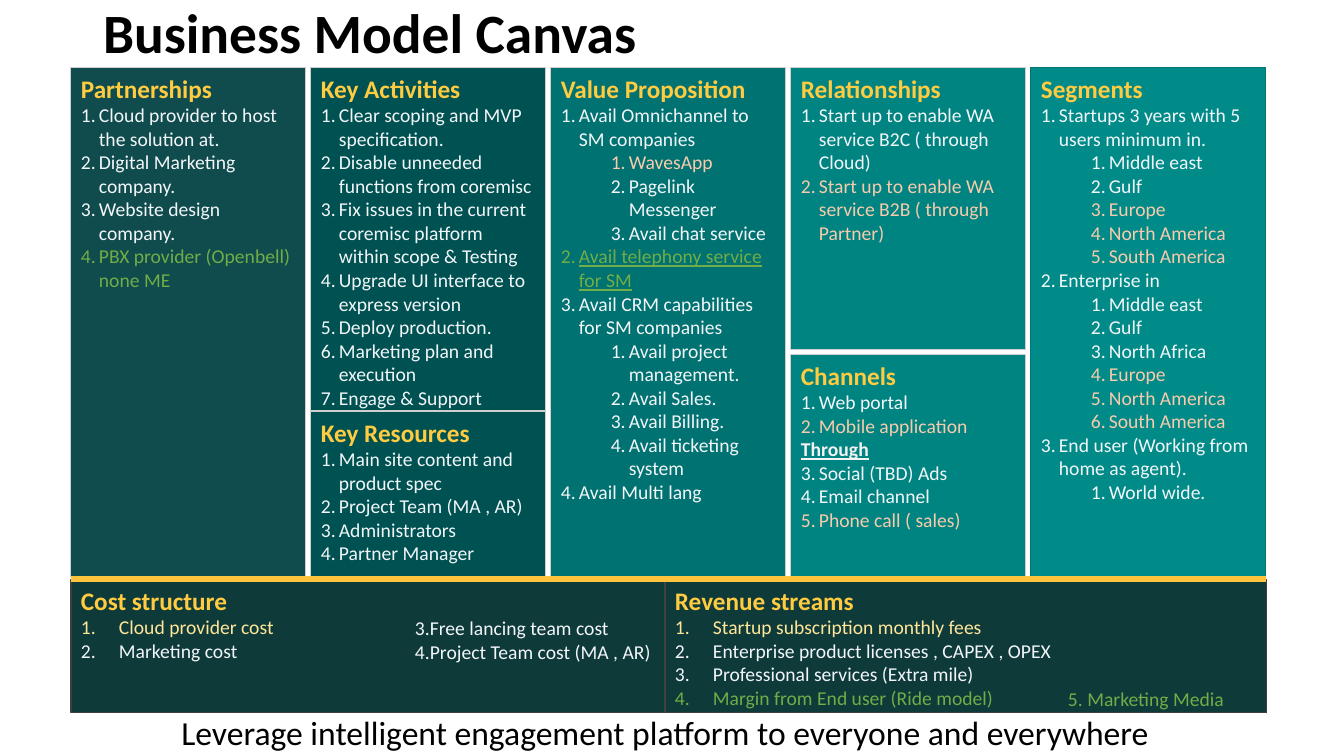
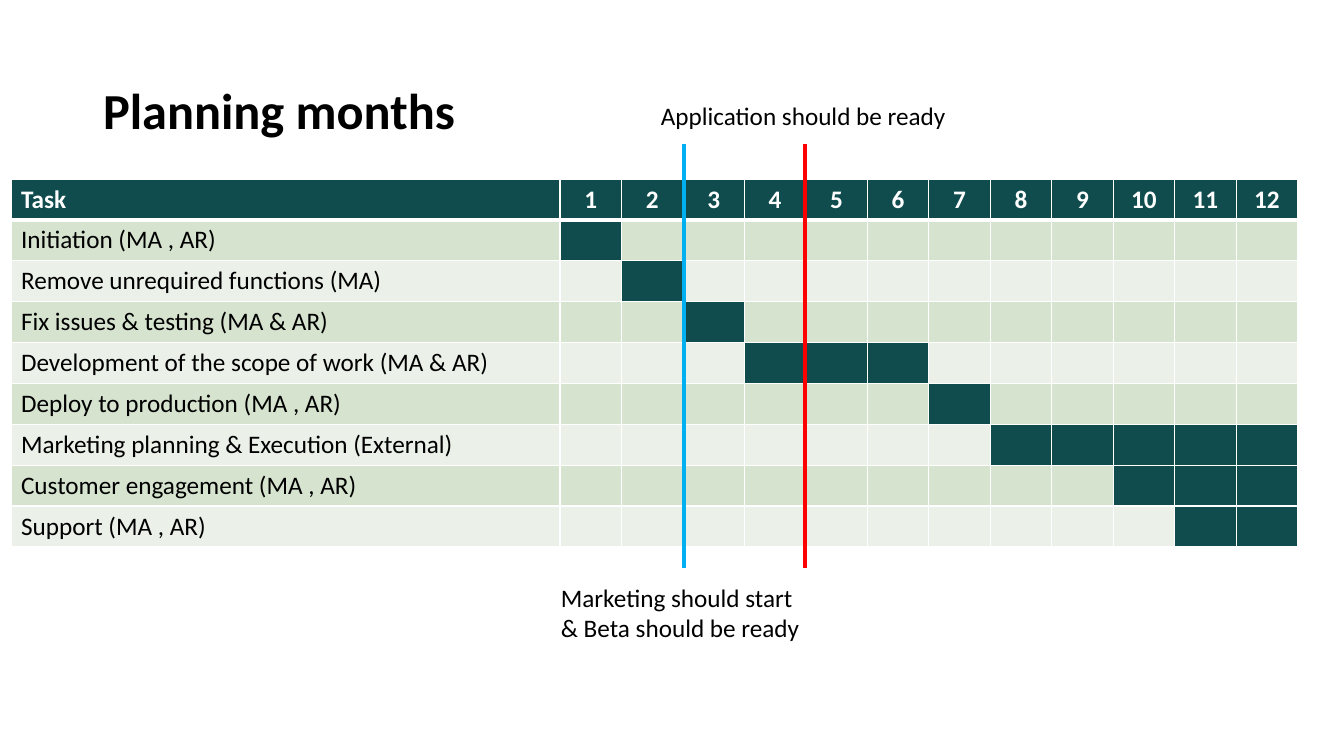
import collections
import dataclasses

import pptx
import pptx.dml.color
import pptx.enum.shapes
import pptx.enum.text
import pptx.oxml.ns
import pptx.util
from lxml import etree

EMU_PER_PIXEL = 914400 / 100.8
ALIGN = pptx.enum.text.PP_ALIGN
ANCHOR = pptx.enum.text.MSO_ANCHOR


@dataclasses.dataclass(frozen=True)
class Theme:
    """Colours, font and type sizes shared by the slides."""

    font: str = "Calibri"
    ink: str = "000000"
    white: str = "FFFFFF"
    heading: str = "FFCB41"
    light: str = "F3F6F9"
    peach: str = "F8CBAD"
    green: str = "70AD47"
    cream: str = "FFE699"
    label: str = "F2F2F2"
    teal: str = "104C4D"
    deep: str = "005252"
    middle: str = "007271"
    bright: str = "008481"
    brightest: str = "008B89"
    base: str = "0F3A3A"
    frame: str = "D0CECE"
    teal_frame: str = "007675"
    base_frame: str = "404040"
    divider: str = "FFC33D"
    beta_mark: str = "00B0F0"
    ready_mark: str = "FF0000"
    bands: tuple = ("D5E3CF", "EBF1E9")
    canvas_title: float = 39.6
    plan_title: float = 36
    tagline: float = 24
    medium: float = 18
    small: float = 14


THEME = Theme()
Item = collections.namedtuple(
    "Item", "text color level start underline", defaults=(THEME.light, 0, 1, False))
Panel = collections.namedtuple("Panel", "heading box fill frame indent items")


def pixels(value):
    """Turn pixels into EMU."""
    return pptx.util.Emu(round(value * EMU_PER_PIXEL))


def rgb(value):
    """Turn a hex string into a colour."""
    return pptx.dml.color.RGBColor.from_string(value)


def assign(target, values):
    """Set each named attribute of the target."""
    for name, value in values.items():
        setattr(target, name, value)


def fill_solid(target, color):
    """Give a shape, line or cell one solid colour."""
    target.fill.solid()
    target.fill.fore_color.rgb = rgb(color)


def write(paragraph, text, size, color, bold=False, underline=False, align=ALIGN.LEFT):
    """Put one formatted run in a paragraph."""
    paragraph.alignment = align
    run = paragraph.add_run()
    run.text = text
    assign(run.font, {"name": THEME.font, "size": pptx.util.Pt(size),
                      "bold": bold, "underline": underline})
    run.font.color.rgb = rgb(color)


def number(paragraph, item, indent):
    """Number a paragraph with a hanging indent."""
    properties = paragraph._p.get_or_add_pPr()
    margin = indent + 50 * item.level
    paragraph.level = item.level
    properties.set("marL", str(pixels(margin)))
    properties.set("indent", str(-pixels(indent)))
    bullet = etree.SubElement(properties, pptx.oxml.ns.qn("a:buAutoNum"))
    bullet.set("type", "arabicPeriod")
    if item.start > 1:
        bullet.set("startAt", str(item.start))


def add_title(presentation, text, top, height, size):
    """Add a slide with its title and return the slide."""
    slide = presentation.slides.add_slide(presentation.slide_layouts[5])
    title = slide.shapes.title
    assign(title, {"left": pixels(93), "top": pixels(top),
                   "width": pixels(1159), "height": pixels(height)})
    assign(title.text_frame, {"vertical_anchor": ANCHOR.MIDDLE, "word_wrap": True,
                              "auto_size": pptx.enum.text.MSO_AUTO_SIZE.NONE})
    paragraph = title.text_frame.paragraphs[0]
    paragraph.line_spacing = 0.9
    write(paragraph, text, size, THEME.ink, bold=True)
    return slide


def add_panel(slide, panel):
    """Add a filled box with a heading and a numbered list."""
    shape = slide.shapes.add_shape(
        pptx.enum.shapes.MSO_SHAPE.RECTANGLE, *map(pixels, panel.box))
    shape.shadow.inherit = False
    fill_solid(shape, panel.fill)
    fill_solid(shape.line, panel.frame)
    shape.line.width = pptx.util.Pt(0.75)
    frame = shape.text_frame
    assign(frame, {"word_wrap": True, "vertical_anchor": ANCHOR.TOP})
    write(frame.paragraphs[0], panel.heading, THEME.medium, THEME.heading, bold=True)
    for item in panel.items:
        paragraph = frame.add_paragraph()
        is_label = item.start == 0
        if not is_label:
            number(paragraph, item, panel.indent)
        write(paragraph, item.text, THEME.small, item.color, is_label, item.underline)


def add_text(slide, box, lines, size, color=THEME.ink, align=ALIGN.LEFT, inset=True):
    """Add a text box with one paragraph for each line."""
    frame = slide.shapes.add_textbox(*map(pixels, box)).text_frame
    frame.word_wrap = True
    if not inset:
        assign(frame, dict.fromkeys(
            ("margin_left", "margin_top", "margin_right", "margin_bottom"), 0))
    for index, line in enumerate(lines):
        paragraph = frame.add_paragraph() if index else frame.paragraphs[0]
        write(paragraph, line, size, color, align=align)


def add_line(slide, start, end, color, width):
    """Add a straight line without a shadow."""
    line = slide.shapes.add_connector(
        pptx.enum.shapes.MSO_CONNECTOR.STRAIGHT, *map(pixels, start + end))
    fill_solid(line.line, color)
    line.line.width = pptx.util.Pt(width)
    etree.SubElement(line._element.spPr, pptx.oxml.ns.qn("a:effectLst"))


def set_borders(cell, row):
    """Draw white cell borders, thick below the header row."""
    properties = cell._tc.get_or_add_tcPr()
    widths = {"lnL": 1, "lnR": 1, "lnT": 3 if row == 1 else 1, "lnB": 3 if row == 0 else 1}
    for index, (side, width) in enumerate(widths.items()):
        border = etree.Element(pptx.oxml.ns.qn("a:" + side), w=str(pptx.util.Pt(width)))
        fill = etree.SubElement(border, pptx.oxml.ns.qn("a:solidFill"))
        etree.SubElement(fill, pptx.oxml.ns.qn("a:srgbClr"), val=THEME.white)
        properties.insert(index, border)


def add_schedule(slide, tasks, months=12):
    """Add the table of tasks with their active months filled."""
    rows = len(tasks) + 1
    task_width, month_width, row_height = 549, 738 / months, 40
    table = slide.shapes.add_table(
        rows, months + 1, pixels(11), pixels(179),
        pixels(task_width + month_width * months), pixels(row_height * rows)).table
    for index, column in enumerate(table.columns):
        column.width = pixels(month_width if index else task_width)
    entries = [("Task", 1, months)] + tasks
    for row, (task, first, last) in enumerate(entries):
        table.rows[row].height = pixels(row_height)
        for column in range(months + 1):
            cell = table.cell(row, column)
            active = row == 0 or first <= column <= last
            fill_solid(cell, THEME.teal if active else THEME.bands[(row - 1) % 2])
            set_borders(cell, row)
            paragraph = cell.text_frame.paragraphs[0]
            paragraph.font.size = pptx.util.Pt(THEME.medium)
            if row == 0 or column == 0:
                write(paragraph, str(column) if column else task, THEME.medium,
                      THEME.ink if row else THEME.white, bold=row == 0,
                      align=ALIGN.CENTER if column else ALIGN.LEFT)


def canvas_panels():
    """Return the panels of the business model canvas."""
    def column(index, top=68, height=509):
        return 71 + 240 * index, top, 235, height

    def plain(*texts, level=0):
        return [Item(text, level=level) for text in texts]

    def planned(*texts, level=0):
        return [Item(text, THEME.peach, level) for text in texts]

    americas = planned("Europe", "North America", "South America", level=1)
    return [
        Panel("Partnerships", column(0), THEME.teal, THEME.frame, 18, [
            *plain("Cloud provider to host the solution at.", "Digital Marketing company.",
                   "Website design company."),
            Item("PBX provider (Openbell) none ME", THEME.green)]),
        Panel("Key Activities", column(1, 68, 343), THEME.deep, THEME.frame, 18, plain(
            "Clear scoping and MVP specification.",
            "Disable unneeded functions from coremisc",
            "Fix issues in the current coremisc platform within scope & Testing",
            "Upgrade UI interface to express version", "Deploy production.",
            "Marketing plan and execution", "Engage & Support")),
        Panel("Key Resources", column(1, 412, 165), THEME.deep, THEME.frame, 18, plain(
            "Main site content and product spec", "Project Team (MA , AR)",
            "Administrators", "Partner Manager")),
        Panel("Value Proposition", column(2), THEME.middle, THEME.frame, 18, [
            *plain("Avail Omnichannel to SM companies"),
            *planned("WavesApp", level=1),
            *plain("Pagelink Messenger", "Avail chat service", level=1),
            Item("Avail telephony service for SM", THEME.green, underline=True),
            *plain("Avail CRM capabilities for SM companies"),
            *plain("Avail project management.", "Avail Sales.", "Avail Billing.",
                   "Avail ticketing system", level=1),
            *plain("Avail Multi lang")]),
        Panel("Relationships", column(3, 68, 282), THEME.bright, THEME.frame, 18, [
            *plain("Start up to enable WA service B2C ( through Cloud)"),
            *planned("Start up to enable WA service B2B ( through Partner)")]),
        Panel("Channels", column(3, 355, 222), THEME.bright, THEME.frame, 18, [
            *plain("Web portal"), *planned("Mobile application"),
            Item("Through", THEME.label, start=0, underline=True),
            Item("Social (TBD) Ads", start=3), Item("Email channel", start=3),
            Item("Phone call ( sales)", THEME.peach, start=3)]),
        Panel("Segments", column(4), THEME.brightest, THEME.teal_frame, 18, [
            *plain("Startups 3 years with 5 users minimum in."),
            *plain("Middle east", "Gulf", level=1), *americas,
            *plain("Enterprise in"),
            *plain("Middle east", "Gulf", "North Africa", level=1), *americas,
            *plain("End user (Working from home as agent)."),
            *plain("World wide.", level=1)]),
        Panel("Cost structure", (71, 580, 595, 133), THEME.base, THEME.base_frame, 38, [
            Item("Cloud provider cost", THEME.cream), *plain("Marketing cost")]),
        Panel("Revenue streams", (665, 580, 602, 133), THEME.base, THEME.base_frame, 38, [
            Item("Startup subscription monthly fees", THEME.cream),
            *plain("Enterprise product licenses , CAPEX , OPEX",
                   "Professional services (Extra mile)"),
            Item("Margin from End user (Ride model)", THEME.green)]),
    ]


def build_canvas(presentation):
    """Build the business model canvas slide."""
    slide = add_title(presentation, "Business Model Canvas", 5, 62, THEME.canvas_title)
    for panel in canvas_panels():
        add_panel(slide, panel)
    add_text(slide, (415, 616, 248, 48),
             ["3.Free lancing team cost", "4.Project Team cost (MA , AR)"],
             THEME.small, THEME.light, inset=False)
    add_text(slide, (1068, 687, 190, 24), ["5. Marketing Media"],
             THEME.small, THEME.green, inset=False)
    add_line(slide, (71, 579), (1266, 579), THEME.divider, 4.75)
    add_text(slide, (168, 707, 994, 50),
             ["Leverage intelligent engagement platform to everyone and everywhere"],
             THEME.tagline, align=ALIGN.CENTER)


def build_plan(presentation):
    """Build the slide with the plan by month."""
    slide = add_title(presentation, "Planning months", 40, 146, THEME.plan_title)
    add_schedule(slide, [
        ("Initiation (MA , AR)", 1, 1),
        ("Remove unrequired functions (MA)", 2, 2),
        ("Fix issues & testing (MA & AR)", 3, 3),
        ("Development of the scope of work (MA & AR)", 4, 6),
        ("Deploy to production (MA , AR)", 7, 7),
        ("Marketing planning & Execution (External)", 8, 12),
        ("Customer engagement (MA , AR)", 10, 12),
        ("Support (MA , AR)", 11, 12),
    ])
    for left, color in ((805, THEME.ready_mark), (684, THEME.beta_mark)):
        add_line(slide, (left, 144), (left, 568), color, 3)
    add_text(slide, (551, 577, 262, 72),
             ["Marketing should start", "& Beta should be ready"], THEME.medium)
    add_text(slide, (651, 95, 308, 40), ["Application should be ready"], THEME.medium)


def main():
    """Build and save the presentation."""
    presentation = pptx.Presentation()
    assign(presentation, {"slide_width": pixels(1344), "slide_height": pixels(756)})
    build_canvas(presentation)
    build_plan(presentation)
    presentation.save("out.pptx")


main()
